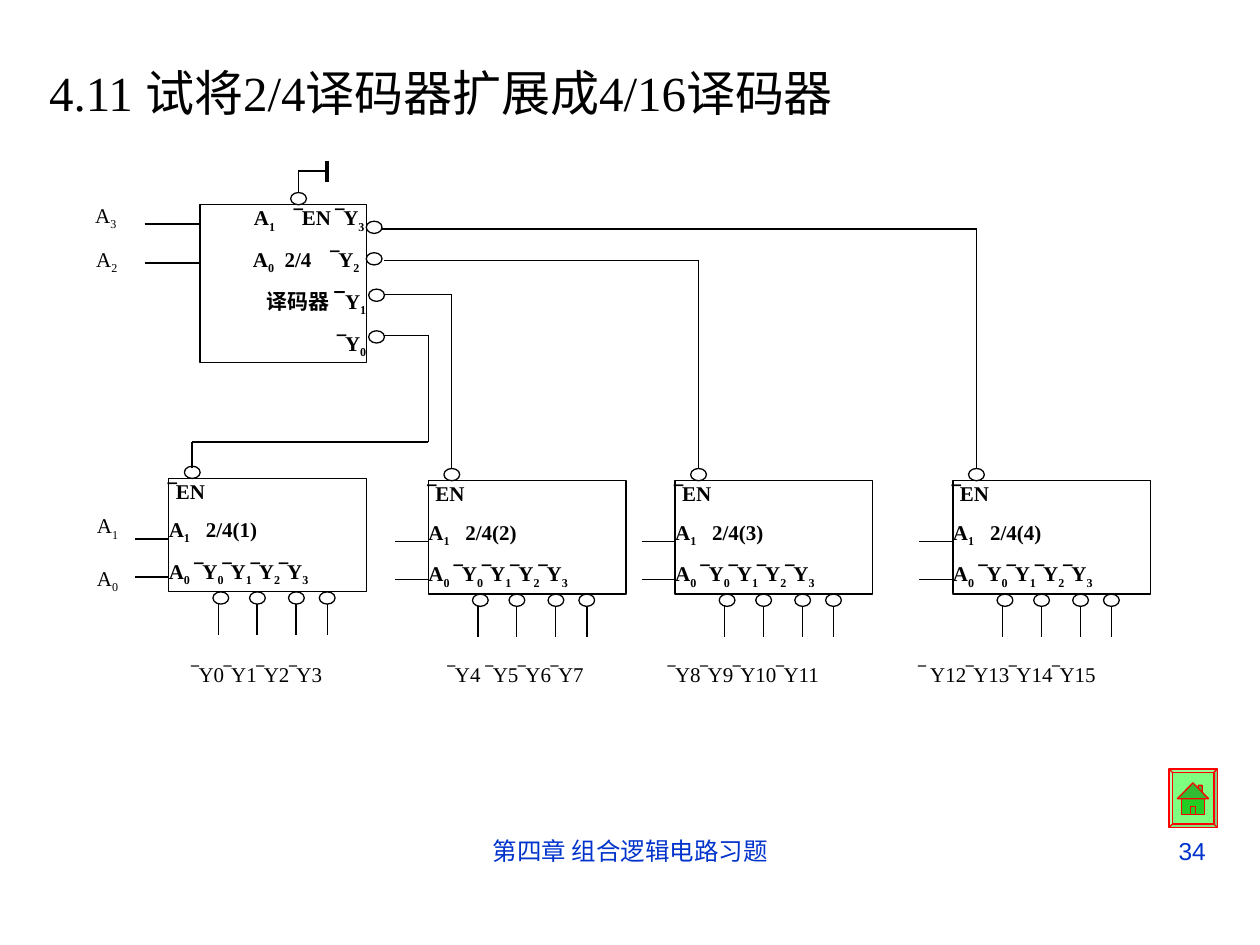
from itertools import groupby, pairwise

from lxml import etree
from pptx import Presentation
from pptx.dml.color import RGBColor
from pptx.enum.shapes import MSO_CONNECTOR, MSO_SHAPE
from pptx.enum.text import MSO_ANCHOR, PP_ALIGN
from pptx.oxml.ns import qn
from pptx.util import Pt

RECT, OVAL, BEVEL = MSO_SHAPE.RECTANGLE, MSO_SHAPE.OVAL, MSO_SHAPE.BEVEL
LINE = MSO_CONNECTOR.STRAIGHT
LEFT, MID, RIGHT, JUST = PP_ALIGN.LEFT, PP_ALIGN.CENTER, PP_ALIGN.RIGHT, PP_ALIGN.JUSTIFY
TOP, CENTER = MSO_ANCHOR.TOP, MSO_ANCHOR.MIDDLE
INK = {"black": "000000", "blue": "0033CC", "green": "00FF00", "red": "FF0000",
       "roof": "33BB33", "wall": "22CC22"}
SERIF, SANS = "Times New Roman", "Arial"
SUBS = "₀₁₂₃"
DIGITS = str.maketrans(SUBS, "0123")
PAD = (7.2, 3.6)


def color(name):
    return RGBColor.from_string(INK[name])


def set_tabs(para, stops):
    props = para._p.get_or_add_pPr()
    tabs = etree.SubElement(props, qn("a:tabLst"))
    for pos in stops:
        etree.SubElement(tabs, qn("a:tab"), pos=str(Pt(pos)), algn="l")


def kind(char):
    return "bar" if char == "‾" else "sub" if char in SUBS else "text"


def write(para, text, size=12, bold=False, ink="black", face=SERIF, align=LEFT, stops=()):
    para.alignment = align
    if stops:
        set_tabs(para, stops)
    para.font.size = Pt(size)
    para.font.bold = bold
    para.font.color.rgb = color(ink)
    for sort, chars in groupby(text, kind):
        run = para.add_run()
        run.text = "".join(chars).translate(DIGITS)
        run.font.name = SANS if sort == "bar" else face
        if sort == "sub":
            run._r.get_or_add_rPr().set("baseline", "-25000")


def set_frame(frame, pad=PAD, anchor=TOP, wrap=True):
    frame.margin_left = frame.margin_right = Pt(pad[0])
    frame.margin_top = frame.margin_bottom = Pt(pad[1])
    frame.vertical_anchor = anchor
    frame.word_wrap = wrap


def add_label(slide, box, text, anchor=CENTER, wrap=False, **style):
    label = slide.shapes.add_textbox(*map(Pt, box))
    set_frame(label.text_frame, anchor=anchor, wrap=wrap)
    write(label.text_frame.paragraphs[0], text, **style)


def paint(shape, ink="black", fill=None):
    shape.shadow.inherit = False
    if fill:
        shape.fill.solid()
        shape.fill.fore_color.rgb = color(fill)
    else:
        shape.fill.background()
    shape.line.color.rgb = color(ink)
    shape.line.width = Pt(0.75)
    return shape


def add_shape(slide, sort, box, *inks):
    return paint(slide.shapes.add_shape(sort, *map(Pt, box)), *inks)


def add_dot(slide, left, top):
    add_shape(slide, OVAL, (left, top, 9, 7))


def add_wire(slide, *points, width=0.75):
    for start, end in pairwise(points):
        wire = slide.shapes.add_connector(LINE, *map(Pt, start + end))
        wire.line.color.rgb = color("black")
        wire.line.width = Pt(width)
        etree.SubElement(wire._element.spPr, qn("a:effectLst"))


def add_chip(slide, box, rows):
    frame = add_shape(slide, RECT, box).text_frame
    set_frame(frame, pad=(0, 0))
    for num, (text, align, stops) in enumerate(rows):
        para = frame.add_paragraph() if num else frame.paragraphs[0]
        if num:
            para.space_before = Pt(7.5)
        write(para, text, bold=True, align=align, stops=stops)


def add_main(slide, box):
    left, top, wide, _ = box
    add_chip(slide, box, [
        ("\tA₁\t‾EN ‾Y₃", LEFT, (30.8, 54.2)),
        ("\tA₀\t2/4\t‾Y₂", LEFT, (30.2, 48.4, 75)),
        ("译码器 ‾Y₁", RIGHT, ()),
        ("‾Y₀", RIGHT, ()),
    ])
    add_dot(slide, left + 51.8, top - 7)
    add_wire(slide, (left + 56.2, top - 7), (left + 56.2, top - 19.3), (left + 72.7, top - 19.3))
    add_wire(slide, (left + 72.7, top - 25), (left + 72.7, top - 12.8), width=2.25)
    for drop in (11, 33.3):
        add_wire(slide, (left - 31.7, top + drop), (left, top + drop))
    for shift, drop in ((0, 9.4), (0, 27.4), (1.4, 48.2), (1.4, 72)):
        add_dot(slide, left + wide + shift, top + drop)


def add_cell(slide, box, num):
    left, top, _, high = box
    add_chip(slide, box, [
        ("‾EN", JUST, ()),
        (f"A₁\t2/4({num})", LEFT, (21.2,)),
        ("A₀ ‾Y₀‾Y₁‾Y₂‾Y₃", JUST, ()),
    ])
    for drop in (34.6, 56.4):
        add_wire(slide, (left - 19.2, top + drop), (left, top + drop))
    base = top + high
    for dot, pin in ((25.2, 28.3), (46.1, 50.4), (68.4, 72.7), (86, 90.7)):
        add_dot(slide, left + dot, base)
        add_wire(slide, (left + pin, base + 7), (left + pin, base + 24.8))
    add_dot(slide, left + 8.9, top - 7)


def add_links(slide):
    add_wire(slide, (218.2, 130.8), (558, 130.8), (558, 267.6))
    add_wire(slide, (219.6, 148.8), (399, 148.8), (399, 267.6))
    add_wire(slide, (219.6, 168.3), (258.2, 168.3), (258.2, 267.6))
    add_wire(slide, (219.6, 191.6), (244.8, 191.6), (244.8, 252.6),
             (109.7, 252.6), (109.7, 267.6))


def add_title(slide, box, text):
    title = slide.shapes.title
    title.left, title.top, title.width, title.height = map(Pt, box)
    set_frame(title.text_frame, anchor=CENTER, wrap=False)
    write(title.text_frame.paragraphs[0], text, size=28)


def add_home(slide, box):
    left, top, _, _ = box
    frame = add_shape(slide, BEVEL, box, "red", "green")
    frame.adjustments[0] = 0.07
    fill = frame._element.spPr.find(qn("a:solidFill"))
    etree.SubElement(fill[0], qn("a:alpha"), val="50000")
    parts = (
        ("roof", ((16.8, 11.8), (16.8, 9.4), (19, 9.4), (19, 14))),
        ("wall", ((7.2, 17), (20.2, 17), (20.2, 26), (7.2, 26))),
        ("roof", ((13.7, 8), (22.6, 17), (4.8, 17))),
        ("wall", ((12.4, 21.5), (15, 21.5), (15, 26), (12.4, 26))),
    )
    for ink, points in parts:
        first, *rest = [(Pt(left + x), Pt(top + y)) for x, y in points]
        outline = slide.shapes.build_freeform(*first)
        outline.add_line_segments(rest)
        paint(outline.convert_to_shape(), "red", ink)


def add_foot(slide, top):
    style = {"anchor": TOP, "wrap": True, "size": 14, "ink": "blue", "face": SANS}
    add_label(slide, (246.2, top, 228.2, 37.4), "第四章 组合逻辑电路习题", align=MID, **style)
    add_label(slide, (516.2, top, 180, 37.4), "34", align=RIGHT, **style)


def main():
    deck = Presentation()
    deck.slide_width, deck.slide_height = Pt(720), Pt(540)
    slide = deck.slides.add_slide(deck.slide_layouts[5])
    add_home(slide, (668, 439.4, 27.6, 33.5))
    add_foot(slide, 474.1)
    add_title(slide, (20.9, 32.2, 496.8, 41), "4.11 试将2/4译码器扩展成4/16译码器")
    add_main(slide, (114.3, 117, 95, 90))
    cells = ((96.5, 273.4), (244.8, 274.7), (385.8, 274.7), (544.6, 274.7))
    for num, (left, top) in enumerate(cells, 1):
        add_cell(slide, (left, top, 113, 64.8), num)
    add_links(slide)
    marks = ((" A₃", 45, 112), (" A₂", 45.5, 137.1), (" A₁", 46, 289.4), (" A₀", 46, 319.3))
    for text, left, top in marks:
        add_label(slide, (left, top, 32, 23.8), text)
    outs = "‾Y0‾Y1‾Y2‾Y3\t‾Y4 ‾Y5‾Y6‾Y7\t‾Y8‾Y9‾Y10‾Y11\t‾ Y12‾Y13‾Y14‾Y15"
    add_label(slide, (99.4, 374.4, 566.6, 21.6), " " + outs,
              stops=(149.5, 275.3, 418.5))
    deck.save("out.pptx")


if __name__ == "__main__":
    main()
